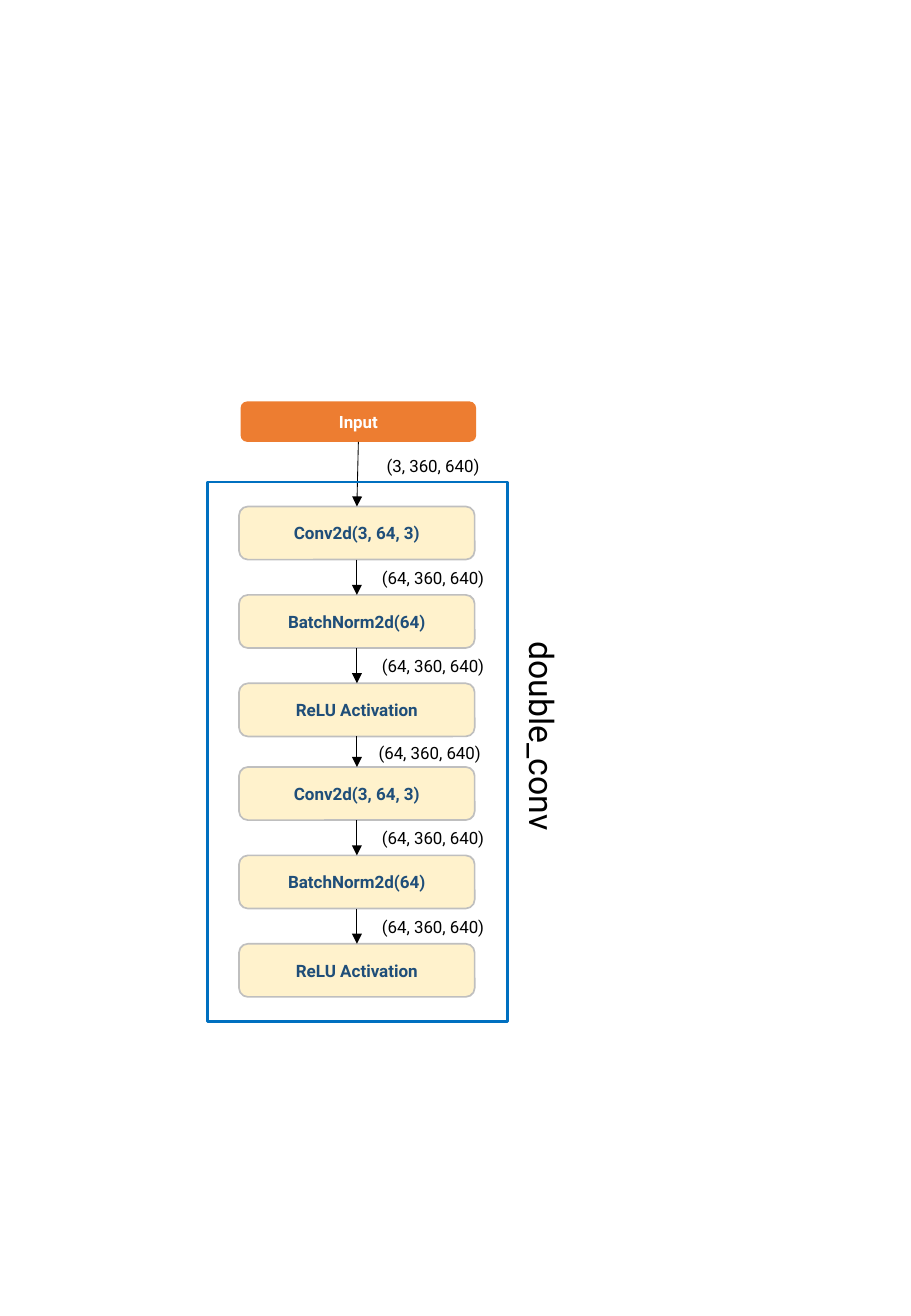
from dataclasses import dataclass

from lxml import etree
from pptx import Presentation
from pptx import util as u
from pptx.dml.color import RGBColor
from pptx.enum import shapes, text
from pptx.oxml import ns


@dataclass(frozen=True)
class Theme:
    font: str = "Roboto"
    input_fill: str = "ED7D31"
    input_text: str = "FFFFFF"
    layer_fill: str = "FFF2CC"
    layer_line: str = "BFBFBF"
    layer_text: str = "1F4E79"
    frame_line: str = "0070C0"
    ink: str = "000000"
    label_size: float = 10
    layer_size: float = 10.1
    title_size: float = 20


class Diagram:
    """Draws the elements of a network diagram on one slide."""

    def __init__(self, slide, theme):
        self.slide = slide
        self.theme = theme

    def set_text(self, shape, wording, size, color, bold=False):
        frame = shape.text_frame
        frame.word_wrap = True
        paragraph = frame.paragraphs[0]
        paragraph.text = wording
        paragraph.alignment = text.PP_ALIGN.CENTER
        font = paragraph.font
        font.name, font.size, font.bold = self.theme.font, u.Pt(size), bold
        font.color.rgb = RGBColor.from_string(color)

    def box(self, kind, left, top, width, height, fill=None, line=None, weight=1):
        shape = self.slide.shapes.add_shape(
            kind, u.Pt(left), u.Pt(top), u.Pt(width), u.Pt(height))
        shape.shadow.inherit = False
        for paint, color in ((shape.fill, fill), (shape.line.fill, line)):
            if color:
                paint.solid()
                paint.fore_color.rgb = RGBColor.from_string(color)
            else:
                paint.background()
        if line:
            shape.line.width = u.Pt(weight)
        return shape

    def block(self, wording, left, top, height, fill, color, size, line=None):
        shape = self.box(shapes.MSO_SHAPE.ROUNDED_RECTANGLE,
                         left, top, BLOCK_WIDTH, height, fill, line)
        frame = shape.text_frame
        frame.margin_left = frame.margin_right = u.Pt(4.3)
        frame.margin_top = frame.margin_bottom = u.Pt(2.2)
        frame.vertical_anchor = text.MSO_ANCHOR.MIDDLE
        self.set_text(shape, wording, size, color, bold=True)
        return shape

    def label(self, wording, left, top, width, height, size, rotation=0):
        shape = self.slide.shapes.add_textbox(
            u.Pt(left), u.Pt(top), u.Pt(width), u.Pt(height))
        shape.rotation = rotation
        self.set_text(shape, wording, size, self.theme.ink)
        shape.text_frame.auto_size = text.MSO_AUTO_SIZE.SHAPE_TO_FIT_TEXT

    def arrow(self, upper, lower):
        connector = self.slide.shapes.add_connector(
            shapes.MSO_CONNECTOR.STRAIGHT, 0, 0, 0, 0)
        connector.begin_connect(upper, 2)
        connector.end_connect(lower, 0)
        connector.line.width = u.Pt(0.5)
        connector.line.color.rgb = RGBColor.from_string(self.theme.ink)
        properties = connector._element.spPr
        etree.SubElement(properties.find(ns.qn("a:ln")),
                         ns.qn("a:tailEnd"), type="triangle")
        etree.SubElement(properties, ns.qn("a:effectLst"))


BLOCK_WIDTH = 139.7
LAYER_LEFT, LAYER_HEIGHT, LAYER_PITCH = 141.7, 31.5, 52.4
GROUP_TOPS = (300.2, 454.6)
LAYERS = ("Conv2d(3, 64, 3)", "BatchNorm2d(64)", "ReLU Activation")
LABEL_WIDTH, LABEL_HEIGHT = 88.6, 19.4


def main():
    presentation = Presentation()
    presentation.slide_width, presentation.slide_height = u.Pt(540), u.Pt(780)
    slide = presentation.slides.add_slide(presentation.slide_layouts[6])
    theme = Theme()
    diagram = Diagram(slide, theme)

    # Input block
    previous = diagram.block("Input", 142.6, 237.9, 24, theme.input_fill,
                             theme.input_text, theme.label_size)

    # Two groups of layers, each layer with its arrow and tensor shape
    shape_label, label_left, label_top = "(3, 360, 640)", 212.4, 266.6
    for group_top in GROUP_TOPS:
        for row, layer in enumerate(LAYERS):
            top = group_top + row * LAYER_PITCH
            block = diagram.block(layer, LAYER_LEFT, top, LAYER_HEIGHT,
                                  theme.layer_fill, theme.layer_text,
                                  theme.layer_size, theme.layer_line)
            diagram.arrow(previous, block)
            diagram.label(shape_label, label_left, label_top,
                          LABEL_WIDTH, LABEL_HEIGHT, theme.label_size)
            previous = block
            shape_label = "(64, 360, 640)"
            between_groups = row == len(LAYERS) - 1
            label_left = 210.4 if between_groups else 212.4
            label_top = top + LAYER_HEIGHT + (0 if between_groups else 1)

    # Frame around the layers and its name
    diagram.box(shapes.MSO_SHAPE.RECTANGLE, 123.1, 285.8, 177.8, 319.7,
                line=theme.frame_line, weight=1.5)
    diagram.label("double_conv", 252, 420.5, 139, 31.5,
                  theme.title_size, rotation=90)

    presentation.save("out.pptx")


if __name__ == "__main__":
    main()
